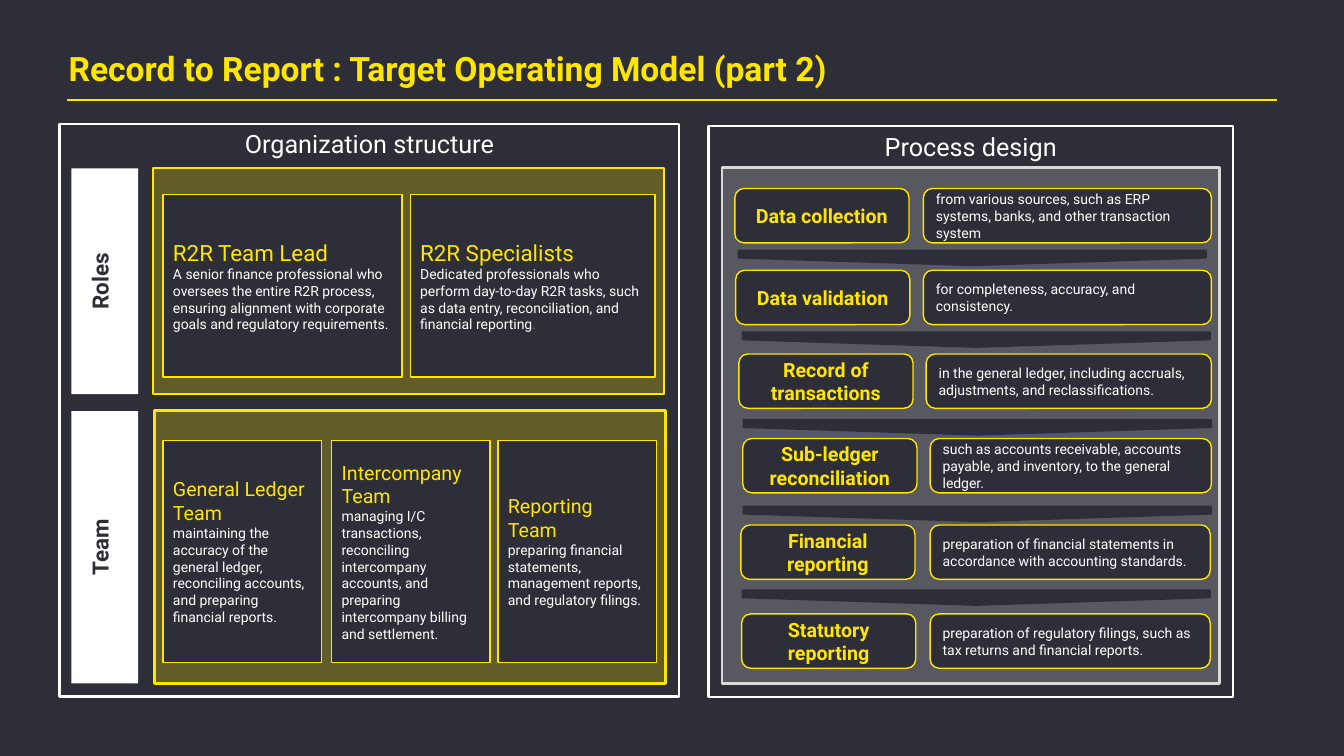
from dataclasses import dataclass

from lxml import etree
from pptx import Presentation
from pptx.dml.color import RGBColor
from pptx.enum.shapes import MSO_CONNECTOR, MSO_SHAPE
from pptx.enum.text import MSO_ANCHOR, PP_ALIGN
from pptx.oxml.ns import qn
from pptx.util import Cm, Pt


@dataclass(frozen=True)
class Theme:
    font: str = "Roboto"
    dark: str = "2E2E38"
    yellow: str = "FFE600"
    white: str = "FFFFFF"
    light: str = "D9D9D9"
    grey: str = "808080"
    title: int = 24
    panel: int = 18
    heading: int = 16
    subheading: int = 14
    body: int = 10


def add_run(p, text, size, color, bold=False, font=Theme.font):
    r = p.add_run()
    r.text = text
    r.font.name = font
    r.font.size = Pt(size)
    r.font.bold = bold
    r.font.color.rgb = RGBColor.from_string(color)


class SlideBuilder:
    """Draws themed elements on one slide; boxes are (left, top, width, height) in cm."""

    def __init__(self, slide, theme):
        self.slide = slide
        self.theme = theme
        fill = slide.background.fill
        fill.solid()
        fill.fore_color.rgb = RGBColor.from_string(theme.dark)

    def shape(self, box, kind=MSO_SHAPE.RECTANGLE, fill=None, line=None, width=1.0, alpha=None):
        sp = self.slide.shapes.add_shape(kind, *map(Cm, box))
        sp.shadow.inherit = False
        if fill:
            sp.fill.solid()
            sp.fill.fore_color.rgb = RGBColor.from_string(fill)
        else:
            sp.fill.background()
        if alpha:
            clr = sp.fill._xPr.find(".//" + qn("a:srgbClr"))
            etree.SubElement(clr, qn("a:alpha"), val=str(alpha * 1000))
        if line:
            sp.line.color.rgb = RGBColor.from_string(line)
            sp.line.width = Pt(width)
        else:
            sp.line.fill.background()
        return sp

    def turned(self, box, angle, **style):
        """Quarter-turned shape whose visible extent is box."""
        x, y, w, h = box
        sp = self.shape((x + (w - h) / 2, y + (h - w) / 2, h, w), **style)
        sp.rotation = angle
        return sp

    def paragraph(self, sp, anchor=MSO_ANCHOR.MIDDLE, align=PP_ALIGN.LEFT):
        tf = sp.text_frame
        tf.word_wrap = True
        tf.vertical_anchor = anchor
        p = tf.paragraphs[0]
        p.alignment = align
        return p

    def title(self, text, box):
        sp = self.slide.shapes.add_textbox(*map(Cm, box))
        tf = sp.text_frame
        tf.margin_left = tf.margin_right = tf.margin_top = tf.margin_bottom = 0
        p = self.paragraph(sp, MSO_ANCHOR.TOP)
        p.line_spacing = 0.85
        add_run(p, text, self.theme.title, self.theme.yellow, bold=True)

    def rule(self, x1, x2, y):
        ln = self.slide.shapes.add_connector(MSO_CONNECTOR.STRAIGHT, Cm(x1), Cm(y), Cm(x2), Cm(y))
        ln.line.color.rgb = RGBColor.from_string(self.theme.yellow)
        ln.line.width = Pt(1.5)
        etree.SubElement(ln._element.spPr, qn("a:effectLst"))

    def panel(self, text, box):
        sp = self.shape(box, line=self.theme.white, width=1.75)
        p = self.paragraph(sp, MSO_ANCHOR.TOP, PP_ALIGN.CENTER)
        add_run(p, text, self.theme.panel, self.theme.white)

    def frame(self, box, color):
        self.shape(box, fill=color, line=color, width=1.75, alpha=25)

    def side_label(self, text, box):
        sp = self.turned(box, 270, fill=self.theme.white)
        p = self.paragraph(sp, align=PP_ALIGN.CENTER)
        p.line_spacing = Pt(12)
        p.space_after = Pt(6)
        add_run(p, text, self.theme.heading, self.theme.dark, bold=True)

    def card(self, heading, text, box, size, ending=""):
        sp = self.shape(box, fill=self.theme.dark, line=self.theme.yellow)
        add_run(self.paragraph(sp), heading, size, self.theme.yellow)
        p = sp.text_frame.add_paragraph()
        p.alignment = PP_ALIGN.LEFT
        add_run(p, text, self.theme.body, self.theme.white)
        if ending:
            add_run(p, ending, self.theme.body, self.theme.grey)

    def pill(self, text, box, align, **fmt):
        sp = self.shape(box, MSO_SHAPE.ROUNDED_RECTANGLE, self.theme.dark, self.theme.yellow)
        add_run(self.paragraph(sp, align=align), text, **fmt)

    def chevron(self, cx, cy, width=11.79, height=0.38):
        self.turned((cx - width / 2, cy - height / 2, width, height), 90,
                    kind=MSO_SHAPE.PENTAGON, fill=self.theme.dark, line=self.theme.dark)


ROLES = [
    ("R2R Team Lead", "A senior finance professional who oversees the entire R2R process, ensuring "
     "alignment with corporate goals and regulatory requirements.", 4.11, 6.02, ""),
    ("R2R Specialists", "Dedicated professionals who perform day-to-day R2R tasks, such as data entry, "
     "reconciliation, and financial reporting", 10.34, 6.17, "."),
]
TEAMS = [
    ("General Ledger Team", "maintaining the accuracy of the general ledger, reconciling accounts, "
     "and preparing financial reports.", 4.11),
    ("Intercompany Team", "managing I/C transactions, reconciling intercompany accounts, and preparing "
     "intercompany billing and settlement.", 8.36),
    ("Reporting Team", "preparing financial statements, management reports, and regulatory filings.", 12.55),
]
# step, detail, top, step left, detail left, detail right
STEPS = [
    ("Data collection", "from various sources, such as ERP systems, banks, and other transaction system",
     4.75, 18.52, 23.27, 30.53),
    ("Data validation", "for completeness, accuracy, and consistency.", 6.81, 18.54, 23.27, 30.53),
    ("Record of transactions", "in the general ledger, including accruals, adjustments, and "
     "reclassifications.", 8.92, 18.62, 23.34, 30.53),
    ("Sub-ledger reconciliation", "such as accounts receivable, accounts payable, and inventory, to the "
     "general ledger.", 11.05, 18.72, 23.44, 30.53),
    ("Financial reporting", "preparation of financial statements in accordance with accounting standards.",
     13.23, 18.67, 23.44, 30.5),
    ("Statutory reporting", "preparation of regulatory filings, such as tax returns and financial reports.",
     15.47, 18.69, 23.44, 30.5),
]
CHEVRON_CENTRES = [(24.5, 6.5), (24.6, 8.56), (24.63, 10.77), (24.63, 12.95), (24.6, 15.06)]


def draw_organization(b):
    t = b.theme
    b.panel("Organization structure", (1.5, 3.12, 15.62, 14.43))
    b.side_label("Roles", (1.8, 4.24, 1.68, 5.69))
    b.frame((3.86, 4.24, 12.88, 5.69), t.yellow)
    for heading, text, x, w, ending in ROLES:
        b.card(heading, text, (x, 4.9, w, 4.6), t.heading, ending)
    b.side_label("Team", (1.8, 10.36, 1.68, 6.86))
    b.frame((3.89, 10.34, 12.88, 6.88), t.yellow)
    for heading, text, x in TEAMS:
        b.card(heading, text, (x, 11.1, 3.99, 5.59), t.subheading)


def draw_process(b):
    t = b.theme
    b.frame((18.19, 4.22, 12.55, 13), t.light)
    b.panel("Process design", (17.86, 3.18, 13.21, 14.38))
    for step, detail, y, x, left, right in STEPS:
        b.pill(step, (x, y, 4.39, 1.37), PP_ALIGN.CENTER, size=t.subheading, color=t.yellow, bold=True)
        b.pill(detail, (left, y, right - left, 1.37), PP_ALIGN.LEFT, size=t.body, color=t.white)
    for cx, cy in CHEVRON_CENTRES:
        b.chevron(cx, cy)


def main():
    prs = Presentation()
    prs.slide_width, prs.slide_height = Cm(33.87), Cm(19.05)
    b = SlideBuilder(prs.slides.add_slide(prs.slide_layouts[6]), Theme())
    b.rule(1.7, 32.18, 2.51)
    b.title("Record to Report : Target Operating Model (part 2)", (1.73, 1.37, 30.48, 1.65))
    draw_organization(b)
    draw_process(b)
    prs.save("out.pptx")


if __name__ == "__main__":
    main()
